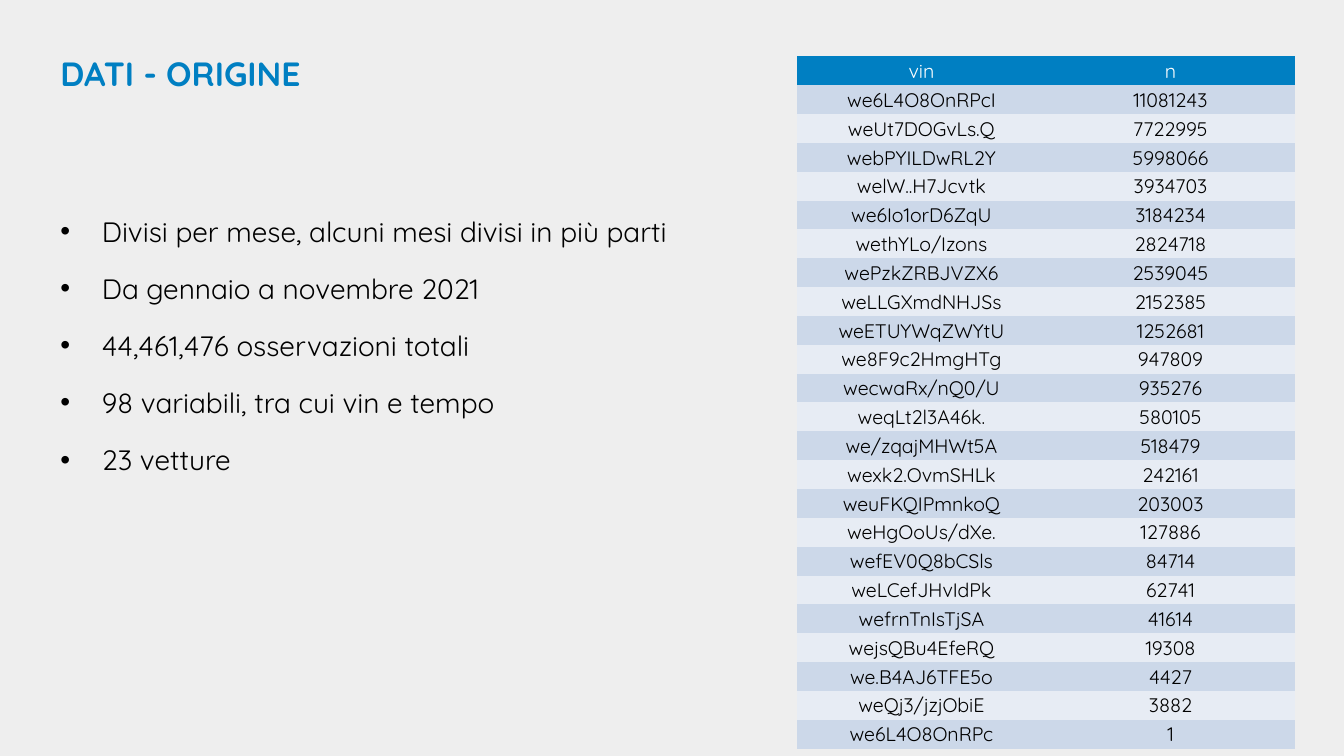
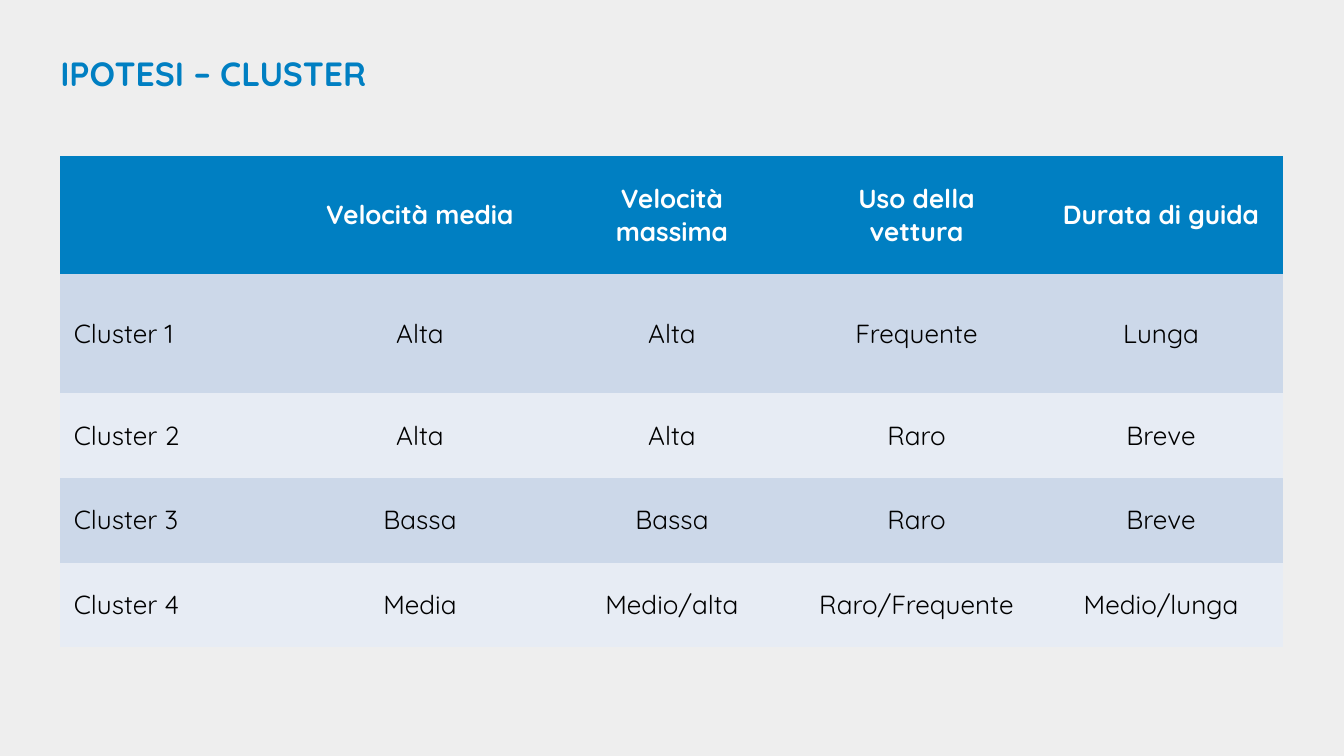
from lxml.etree import SubElement
from pptx import Presentation
from pptx.dml.color import RGBColor
from pptx.enum.text import MSO_ANCHOR, PP_ALIGN
from pptx.oxml.ns import qn
from pptx.util import Inches, Pt

BLUE = RGBColor(0x00, 0x7F, 0xC2)
BLACK = RGBColor(0x00, 0x00, 0x00)
WHITE = RGBColor(0xFF, 0xFF, 0xFF)
GREY = RGBColor(0xEE, 0xEE, 0xEE)
BANDS = [RGBColor(0xE7, 0xEC, 0xF4), RGBColor(0xCC, 0xD8, 0xE9)]
PLAIN_TABLE_STYLE = "{2D5ABB26-0587-4C30-8999-92F81FD0307C}"

WIDTH, HEIGHT = Inches(10), Inches(5.625)
X, Y = WIDTH / 100, HEIGHT / 100  # one percent of the slide
LEFT = round(3.5 * X)

TITLE_FONT = {"size": Pt(18), "bold": True}
BULLET_FONT = {"size": Pt(15), "bold": False}
VEHICLE_FONT = {"size": Pt(10.5), "bold": False}
CLUSTER_FONT = {"size": Pt(14), "bold": False}
VEHICLE_MARGINS = {
    "margin_left": Inches(0.03), "margin_right": Inches(0.03),
    "margin_top": Inches(0.02), "margin_bottom": Inches(0.02),
}


def write(paragraph, text, color, font_format):
    run = paragraph.add_run()
    run.text = text
    run.font.name = "Quicksand"
    run.font.color.rgb = color
    for attribute, value in font_format.items():
        setattr(run.font, attribute, value)


def add_banded_table(slide, rows, left, top, widths, heights, font_format,
                     header_bold=False, margins=None):
    """Place rows under a blue header; positions and sizes are percent of the slide."""
    frame = slide.shapes.add_table(
        len(rows), len(widths), round(left * X), round(top * Y),
        round(sum(widths) * X), round(sum(heights) * Y))
    table = frame.table
    table._tbl.tblPr.find(qn("a:tableStyleId")).text = PLAIN_TABLE_STYLE
    for column, width in zip(table.columns, widths):
        column.width = round(width * X)
    for r, (row, height) in enumerate(zip(rows, heights)):
        table.rows[r].height = round(height * Y)
        header = r == 0
        for c, text in enumerate(row):
            cell = table.cell(r, c)
            cell.fill.solid()
            cell.fill.fore_color.rgb = BLUE if header else BANDS[r % 2]
            cell.vertical_anchor = MSO_ANCHOR.MIDDLE
            for attribute, value in (margins or {}).items():
                setattr(cell, attribute, value)
            if text:
                paragraph = cell.text_frame.paragraphs[0]
                if not text.startswith("Cluster"):
                    paragraph.alignment = PP_ALIGN.CENTER
                write(paragraph, text, WHITE if header else BLACK,
                      {**font_format, "bold": header and header_bold})
    return frame


deck = Presentation()
deck.slide_width, deck.slide_height = WIDTH, HEIGHT

# Shared background and title
slides = []
for title in ["DATI - ORIGINE", "IPOTESI – CLUSTER"]:
    slide = deck.slides.add_slide(deck.slide_layouts[6])
    slide.background.fill.solid()
    slide.background.fill.fore_color.rgb = GREY
    heading = slide.shapes.add_textbox(
        LEFT, round(5.87 * Y), round(86.2 * X), round(7.64 * Y)).text_frame
    heading.word_wrap = True
    heading.vertical_anchor = MSO_ANCHOR.MIDDLE
    write(heading.paragraphs[0], title, BLUE, TITLE_FONT)
    slides.append(slide)
origin_slide, cluster_slide = slides

# Data origin: key facts on the left
facts = [
    "Divisi per mese, alcuni mesi divisi in più parti",
    "Da gennaio a novembre 2021",
    "44,461,476 osservazioni totali",
    "98 variabili, tra cui vin e tempo",
    "23 vetture",
]
facts_frame = origin_slide.shapes.add_textbox(
    LEFT, round(23.47 * Y), round(53.9 * X), round(73.24 * Y)).text_frame
facts_frame.word_wrap = True
for side in ["left", "right", "top", "bottom"]:
    setattr(facts_frame, f"margin_{side}", Inches(0.1))
hanging = Inches(0.31)
for i, fact in enumerate(facts):
    paragraph = facts_frame.add_paragraph() if i else facts_frame.paragraphs[0]
    paragraph.line_spacing = 1.7
    properties = paragraph._p.get_or_add_pPr()
    properties.set("marL", str(hanging))
    properties.set("indent", str(-hanging))
    bullet_color = SubElement(properties, qn("a:buClr"))
    SubElement(bullet_color, qn("a:srgbClr"), val=str(BLACK))
    SubElement(properties, qn("a:buFont"), typeface="Arial")
    SubElement(properties, qn("a:buChar"), char="•")
    write(paragraph, fact, BLACK, BULLET_FONT)

# Data origin: observations per vehicle on the right
vehicles = [
    ("vin", "n"),
    ("we6L4O8OnRPcI", "11081243"),
    ("weUt7DOGvLs.Q", "7722995"),
    ("webPYILDwRL2Y", "5998066"),
    ("welW..H7Jcvtk", "3934703"),
    ("we6Io1orD6ZqU", "3184234"),
    ("wethYLo/Izons", "2824718"),
    ("wePzkZRBJVZX6", "2539045"),
    ("weLLGXmdNHJSs", "2152385"),
    ("weETUYWqZWYtU", "1252681"),
    ("we8F9c2HmgHTg", "947809"),
    ("wecwaRx/nQ0/U", "935276"),
    ("weqLt2l3A46k.", "580105"),
    ("we/zqajMHWt5A", "518479"),
    ("wexk2.OvmSHLk", "242161"),
    ("weuFKQIPmnkoQ", "203003"),
    ("weHgOoUs/dXe.", "127886"),
    ("wefEV0Q8bCSls", "84714"),
    ("weLCefJHvIdPk", "62741"),
    ("wefrnTnIsTjSA", "41614"),
    ("wejsQBu4EfeRQ", "19308"),
    ("we.B4AJ6TFE5o", "4427"),
    ("weQj3/jzjObiE", "3882"),
    ("we6L4O8OnRPc", "1"),
]
vehicle_table = add_banded_table(
    origin_slide, vehicles, 59.3, 7.47, [18.53] * 2, [3.2] * len(vehicles),
    VEHICLE_FONT, margins=VEHICLE_MARGINS)
vehicle_table.height = round(89.24 * Y)

# Cluster hypotheses
clusters = [
    ("", "Velocità media", "Velocità massima", "Uso della vettura", "Durata di guida"),
    ("Cluster 1", "Alta", "Alta", "Frequente", "Lunga"),
    ("Cluster 2", "Alta", "Alta", "Raro", "Breve"),
    ("Cluster 3", "Bassa", "Bassa", "Raro", "Breve"),
    ("Cluster 4", "Media", "Medio/alta", "Raro/Frequente", "Medio/lunga"),
]
add_banded_table(
    cluster_slide, clusters, 4.5, 20.62, [17.1, 19.3] + [18.2] * 3,
    [15.67] * 2 + [11.24] * 3, CLUSTER_FONT, header_bold=True)

deck.save("out.pptx")
